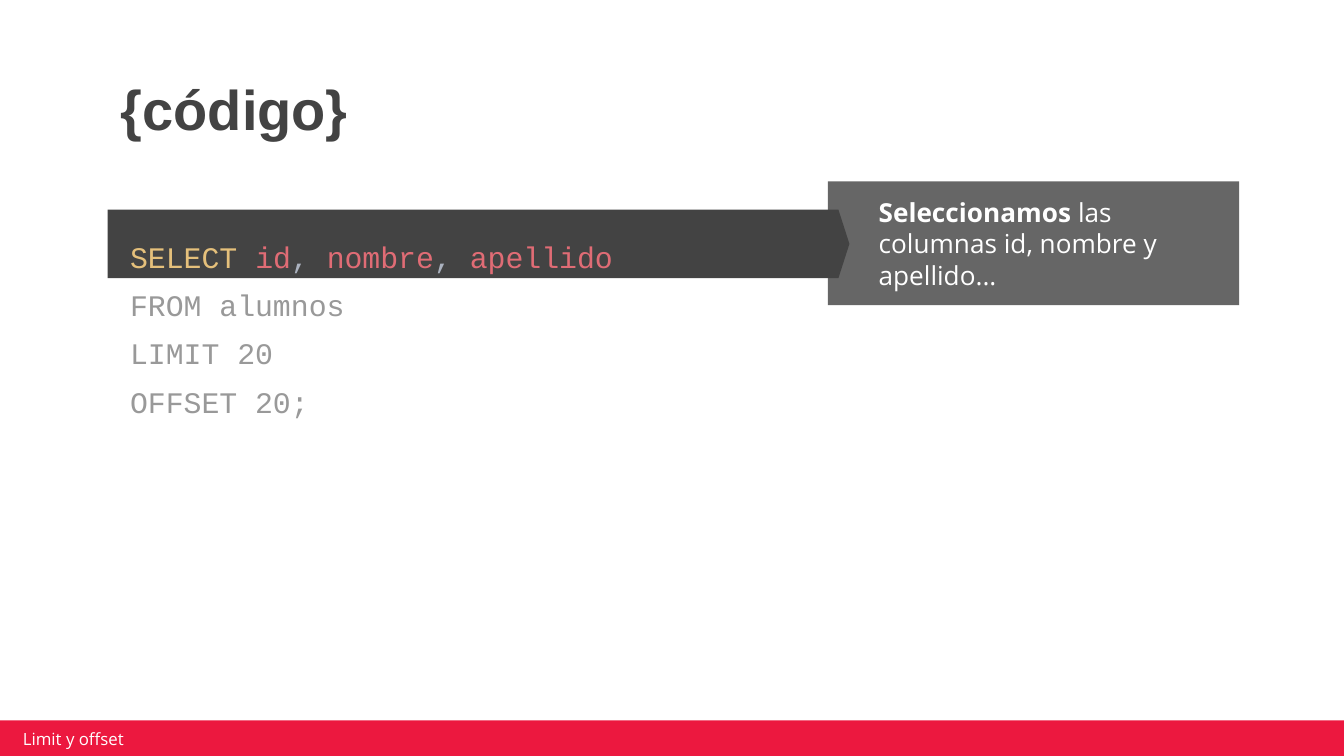
from dataclasses import dataclass

from pptx import Presentation
from pptx.dml.color import RGBColor
from pptx.enum.shapes import MSO_SHAPE
from pptx.enum.text import MSO_ANCHOR, MSO_AUTO_SIZE, PP_ALIGN
from pptx.util import Inches, Pt

COLORS = {
    "white": "FFFFFF",
    "red": "EC183F",
    "gray": "666666",
    "dark": "434343",
    "keyword": "E5C07B",
    "column": "E06C75",
    "comma": "ABB2BF",
    "dimmed": "999999",
}


@dataclass(frozen=True)
class Area:
    left: float
    top: float
    width: float
    height: float

    def lengths(self) -> list:
        return [Inches(v) for v in (self.left, self.top, self.width, self.height)]


@dataclass(frozen=True)
class Span:
    text: str
    color: str
    bold: bool = False


CODE_LINES = [
    [
        Span("SELECT ", "keyword"),
        Span("id", "column"),
        Span(", ", "comma"),
        Span("nombre", "column"),
        Span(", ", "comma"),
        Span("apellido", "column"),
    ],
    [Span("FROM alumnos", "dimmed")],
    [Span("LIMIT 20", "dimmed")],
    [Span("OFFSET 20;", "dimmed")],
]


def add_block(slide, preset, area: Area, color: str):
    block = slide.shapes.add_shape(preset, *area.lengths())
    block.shadow.inherit = False
    block.fill.solid()
    block.fill.fore_color.rgb = RGBColor.from_string(COLORS[color])
    block.line.fill.background()
    return block


def write_lines(shape, lines: list[list[Span]], font: str, size: float,
                margins: tuple[float, float], anchor=MSO_ANCHOR.TOP,
                spacing: float = 1.0) -> None:
    """Fill a shape with left-aligned lines; margins are horizontal, vertical."""
    frame = shape.text_frame
    frame.word_wrap = True
    frame.auto_size = MSO_AUTO_SIZE.NONE
    frame.vertical_anchor = anchor
    frame.margin_left = frame.margin_right = Inches(margins[0])
    frame.margin_top = frame.margin_bottom = Inches(margins[1])
    for index, line in enumerate(lines):
        para = frame.add_paragraph() if index else frame.paragraphs[0]
        para.alignment = PP_ALIGN.LEFT
        para.line_spacing = spacing
        for span in line:
            run = para.add_run()
            run.text = span.text
            run.font.name = font
            run.font.size = Pt(size)
            run.font.bold = span.bold
            run.font.color.rgb = RGBColor.from_string(COLORS[span.color])


def add_footer(slide) -> None:
    add_block(slide, MSO_SHAPE.RECTANGLE, Area(-0.02, 5.36, 10.03, 0.27), "red")
    label = slide.shapes.add_textbox(*Area(0.12, 5.42, 2.39, 0.15).lengths())
    write_lines(label, [[Span("Limit y offset", "white")]], "Open Sans", 9,
                (0.05, 0.02), MSO_ANCHOR.MIDDLE)


def add_callout(slide) -> None:
    callout = add_block(slide, MSO_SHAPE.RECTANGLE,
                        Area(6.16, 1.35, 3.06, 0.92), "gray")
    message = [Span("Seleccionamos ", "white", True),
               Span("las columnas id, nombre y apellido...", "white")]
    write_lines(callout, [message], "Open Sans", 14, (0.1, 0), MSO_ANCHOR.MIDDLE)
    properties = callout.text_frame.paragraphs[0]._p.get_or_add_pPr()
    properties.set("marL", str(Inches(0.28)))
    properties.set("indent", "0")


def add_code(slide) -> None:
    highlight = add_block(slide, MSO_SHAPE.PENTAGON,
                          Area(0.8, 1.56, 5.52, 0.51), "dark")
    highlight.adjustments[0] = 0.16
    code = slide.shapes.add_textbox(*Area(0.87, 1.58, 5.36, 0.92).lengths())
    write_lines(code, CODE_LINES, "Courier New", 16, (0.1, 0.1), spacing=1.35)


def set_title(slide) -> None:
    title = slide.shapes.title
    title.left, title.top, title.width, title.height = Area(0.8, 0.51, 3.28, 0.63).lengths()
    write_lines(title, [[Span("{código}", "dark", True)]], "Arial", 30,
                (0.1, 0.1), spacing=0.9)


def main() -> None:
    deck = Presentation()
    deck.slide_width = Inches(10)
    deck.slide_height = deck.slide_width * 9 // 16
    slide = deck.slides.add_slide(deck.slide_layouts.get_by_name("Title Only"))
    add_footer(slide)
    add_callout(slide)
    set_title(slide)
    add_code(slide)
    deck.save("out.pptx")


if __name__ == "__main__":
    main()
